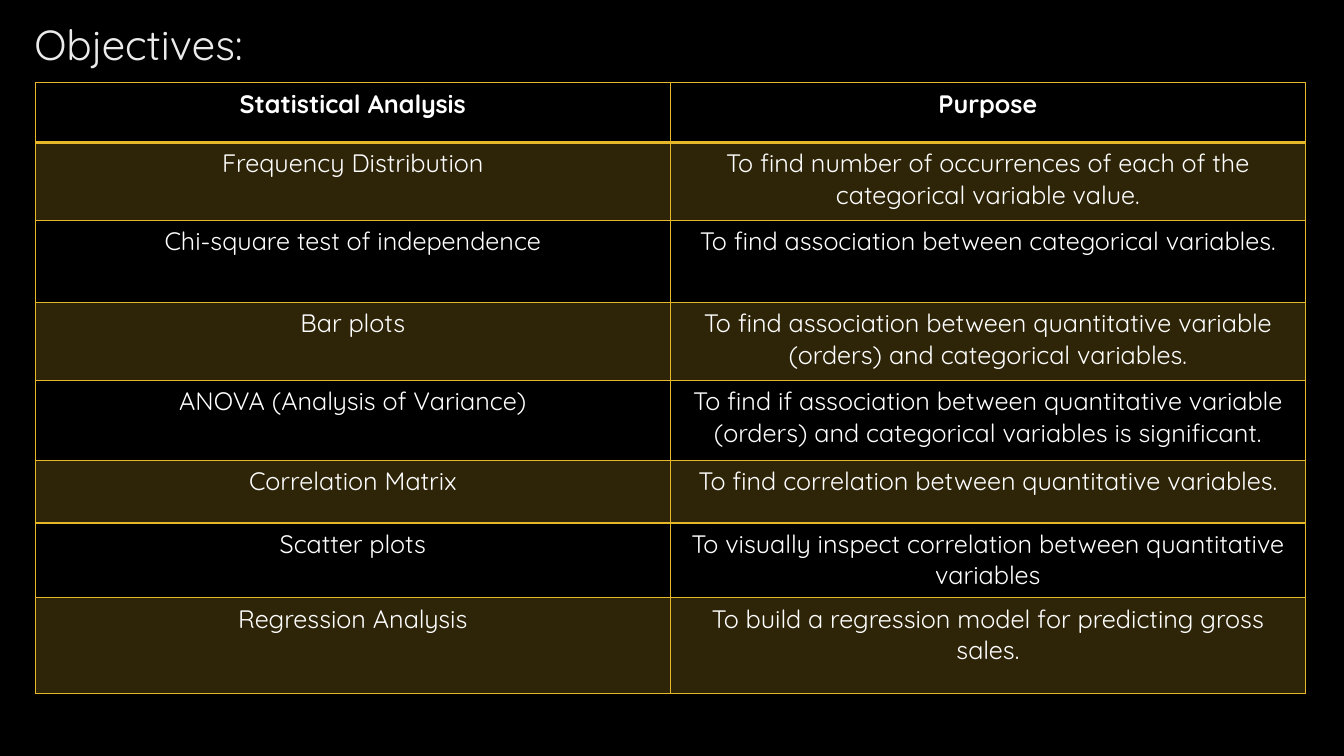
from typing import NamedTuple

from lxml import etree
from pptx import Presentation
from pptx.dml import color
from pptx.enum import text
from pptx.oxml import ns
from pptx.util import Pt

FONT = "Quicksand"
GOLD = "E6B729"
WHITE = "FFFFFF"


class Row(NamedTuple):
    test: str
    goal: str
    high: float


ROWS = [
    Row("Statistical Analysis", "Purpose", 42.5),
    Row("Frequency Distribution",
        "To find number of occurrences of each of the categorical variable value.", 56),
    Row("Chi-square test of independence",
        "To find association between categorical variables.", 58.5),
    Row("Bar plots",
        "To find association between quantitative variable (orders) and categorical variables.", 55.5),
    Row("ANOVA (Analysis of Variance)",
        "To find if association between quantitative variable (orders) and categorical variables "
        "is significant.", 57.5),
    Row("Correlation Matrix", "To find correlation between quantitative variables.", 44.5),
    Row("Scatter plots", "To visually inspect correlation between quantitative variables", 53.5),
    Row("Regression Analysis", "To build a regression model for predicting gross sales.", 68.5),
]


def paint(fill, tone: str, alpha: int = 100) -> None:
    fill.solid()
    fill.fore_color.rgb = color.RGBColor.from_string(tone)
    if alpha < 100:
        clr = fill._xPr.find(".//" + ns.qn("a:srgbClr"))
        etree.SubElement(clr, ns.qn("a:alpha"), val=str(alpha * 1000))


def write(frame, words: str, *, size: float, tone: str, bold: bool = False,
          align=text.PP_ALIGN.LEFT) -> None:
    para = frame.paragraphs[0]
    para.alignment = align
    run = para.add_run()
    run.text = words
    run.font.name = FONT
    run.font.size = Pt(size)
    run.font.bold = bold
    paint(run.font.fill, tone)


def edge(cell, wide: dict[str, float]) -> None:
    props = cell._tc.get_or_add_tcPr()
    for spot, (side, width) in enumerate(wide.items()):
        line = etree.Element(ns.qn(f"a:ln{side}"), w=str(Pt(width)))
        solid = etree.SubElement(line, ns.qn("a:solidFill"))
        etree.SubElement(solid, ns.qn("a:srgbClr"), val=GOLD)
        props.insert(spot, line)


def grid(slide, rows: list[Row]) -> None:
    wide = 453.6
    frame = slide.shapes.add_table(len(rows), 2, Pt(25.2), Pt(59.2), Pt(2 * wide),
                                   Pt(sum(row.high for row in rows)))
    table = frame.table
    table.horz_banding = False
    table.first_row = False
    for col in table.columns:
        col.width = Pt(wide)
    for i, row in enumerate(rows):
        table.rows[i].height = Pt(row.high)
        for j, words in enumerate((row.test, row.goal)):
            cell = table.cell(i, j)
            if i % 2:
                paint(cell.fill, GOLD, 20)
            else:
                cell.fill.background()
            edge(cell, {"L": 1, "R": 1, "T": 2 if i == 1 else 1, "B": 2 if i == 0 else 1})
            write(cell.text_frame, words, size=18, tone=WHITE, bold=i == 0,
                  align=text.PP_ALIGN.CENTER)


def main() -> None:
    deck = Presentation()
    deck.slide_width, deck.slide_height = Pt(960), Pt(540)
    slide = deck.slides.add_slide(deck.slide_layouts[5])
    paint(slide.background.fill, "000000")
    title = slide.shapes.title
    title.left, title.top, title.width, title.height = Pt(17.3), Pt(9.4), Pt(200), Pt(42.5)
    frame = title.text_frame
    frame.auto_size = text.MSO_AUTO_SIZE.NONE
    frame.vertical_anchor = text.MSO_ANCHOR.TOP
    write(frame, "Objectives:", size=30, tone="EBEBEB")
    grid(slide, ROWS)
    deck.save("out.pptx")


if __name__ == "__main__":
    main()
